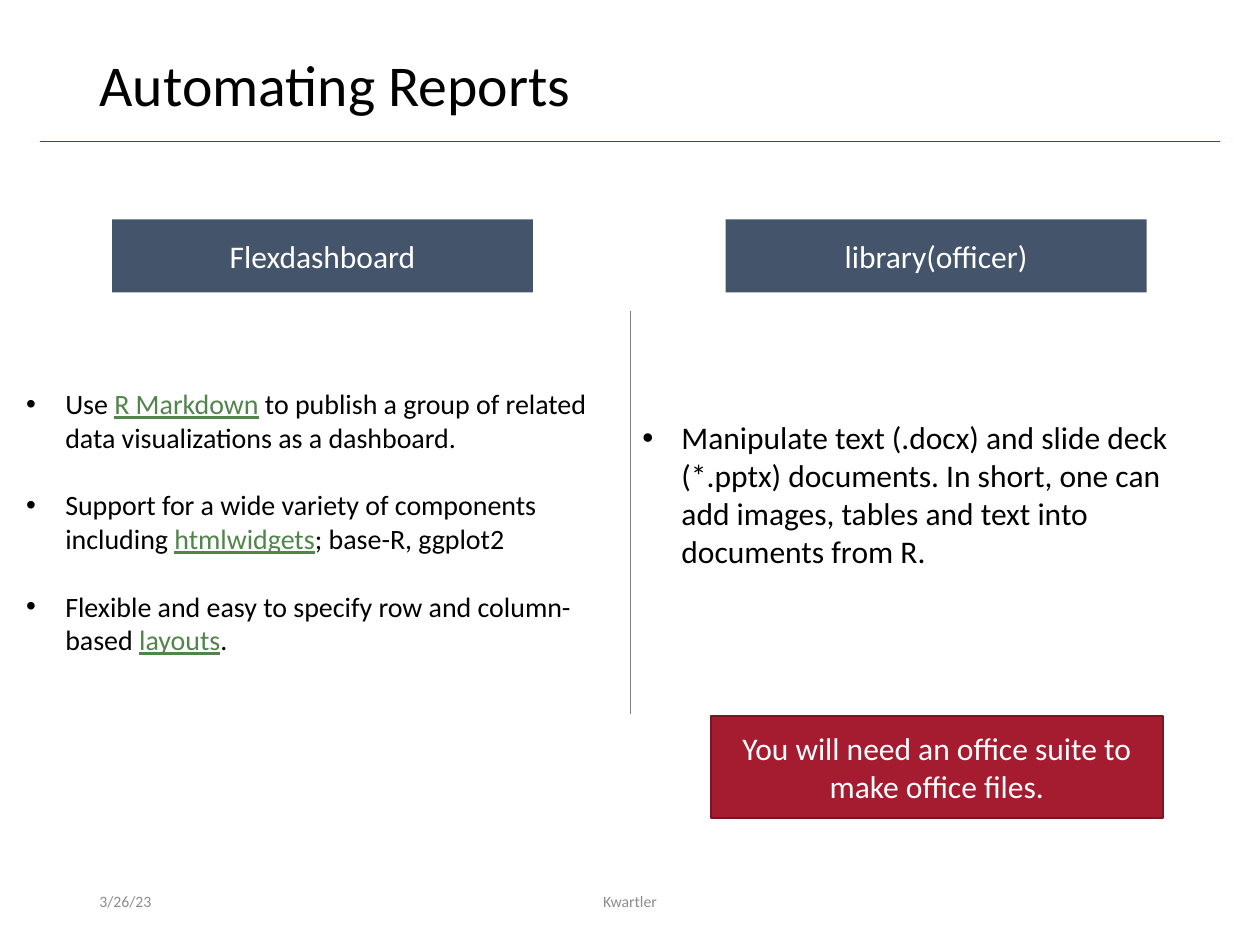
"""Build the Automating Reports slide."""
import pptx
import pptx.dml.color
import pptx.enum.shapes
import pptx.enum.text
import pptx.oxml.ns
import pptx.util
from lxml import etree
from pptx.util import Inches

ALIGN = pptx.enum.text.PP_ALIGN
ANCHOR = pptx.enum.text.MSO_ANCHOR


def rgb(value):
    return pptx.dml.color.RGBColor.from_string(value)


def write(shape, paragraphs, size, color="000000", align=ALIGN.LEFT,
          anchor=ANCHOR.MIDDLE, bullet=False, gap=0, spacing=1.0):
    frame = shape.text_frame
    frame.word_wrap = True
    frame.vertical_anchor = anchor
    for index, runs in enumerate(paragraphs):
        paragraph = frame.paragraphs[0] if index == 0 else frame.add_paragraph()
        if bullet:
            properties = paragraph._p.get_or_add_pPr()
            properties.set("marL", str(Inches(0.31)))
            properties.set("indent", str(-Inches(0.31)))
            font = etree.SubElement(properties, pptx.oxml.ns.qn("a:buFont"))
            font.set("typeface", "Arial")
            mark = etree.SubElement(properties, pptx.oxml.ns.qn("a:buChar"))
            mark.set("char", "•")
        paragraph.alignment = align
        paragraph.line_spacing = spacing
        if index:
            paragraph.space_before = pptx.util.Pt(gap)
        for position, words in enumerate(runs):
            linked = position % 2 == 1
            run = paragraph.add_run()
            run.text = words
            run.font.name = "Calibri"
            run.font.size = pptx.util.Pt(size)
            run.font.underline = linked
            run.font.color.rgb = rgb("52854C" if linked else color)


deck = pptx.Presentation()
deck.slide_width, deck.slide_height = Inches(10), Inches(7.5)
slide = deck.slides.add_slide(deck.slide_layouts[5])
shapes = slide.shapes

title = shapes.title
title.left, title.top = Inches(0.69), Inches(0.4)
title.width, title.height = Inches(8.62), Inches(0.65)
write(title, [["Automating Reports"]], 33, anchor=ANCHOR.TOP, spacing=0.9)

for x1, y1, x2, y2, color in [
    (0.32, 1.12, 9.68, 1.12, "A51C30"),
    (5, 2.47, 5, 5.67, "808080"),
]:
    rule = shapes.add_connector(
        pptx.enum.shapes.MSO_CONNECTOR.STRAIGHT,
        Inches(x1), Inches(y1), Inches(x2), Inches(y2))
    rule.line.color.rgb = rgb(color)
    rule.line.width = pptx.util.Pt(0.5)
    etree.SubElement(rule._element.spPr, pptx.oxml.ns.qn("a:effectLst"))

for words, left, top, width, height, fill, border in [
    ("Flexdashboard", 0.89, 1.74, 3.34, 0.58, "44546A", None),
    ("library(officer)", 5.76, 1.74, 3.34, 0.58, "44546A", None),
    ("You will need an office suite to make office files.",
     5.64, 5.68, 3.59, 0.81, "A51C30", "7A1524"),
]:
    banner = shapes.add_shape(
        pptx.enum.shapes.MSO_SHAPE.RECTANGLE,
        Inches(left), Inches(top), Inches(width), Inches(height))
    banner.shadow.inherit = False
    banner.fill.solid()
    banner.fill.fore_color.rgb = rgb(fill)
    if border:
        banner.line.color.rgb = rgb(border)
        banner.line.width = pptx.util.Pt(1)
    else:
        banner.line.fill.background()
    write(banner, [[words]], 18, color="FFFFFF", align=ALIGN.CENTER)

dashboard_points = [
    ["Use ", "R Markdown",
     " to publish a group of related data visualizations as a dashboard."],
    ["Support for a wide variety of components including ", "htmlwidgets",
     "; base-R, ggplot2"],
    ["Flexible and easy to specify row and column-based ", "layouts", "."],
]
officer_points = [
    ["Manipulate text (.docx) and slide deck (*.pptx) documents. In short, "
     "one can add images, tables and text into documents from R."],
]
for points, left, top, width, height, size in [
    (dashboard_points, 0.11, 3.02, 4.85, 2.26, 16),
    (officer_points, 5, 3.27, 4.71, 1.31, 18),
]:
    body = shapes.add_textbox(
        Inches(left), Inches(top), Inches(width), Inches(height))
    write(body, points, size, anchor=ANCHOR.TOP, bullet=True, gap=19.5)

for words, left, width, align in [
    ("3/26/23", 0.69, 2.25, ALIGN.LEFT),
    ("Kwartler", 3.31, 3.38, ALIGN.CENTER),
]:
    footer = shapes.add_textbox(
        Inches(left), Inches(6.95), Inches(width), Inches(0.4))
    write(footer, [[words]], 9, color="8C8C8C", align=align)

deck.save("out.pptx")
